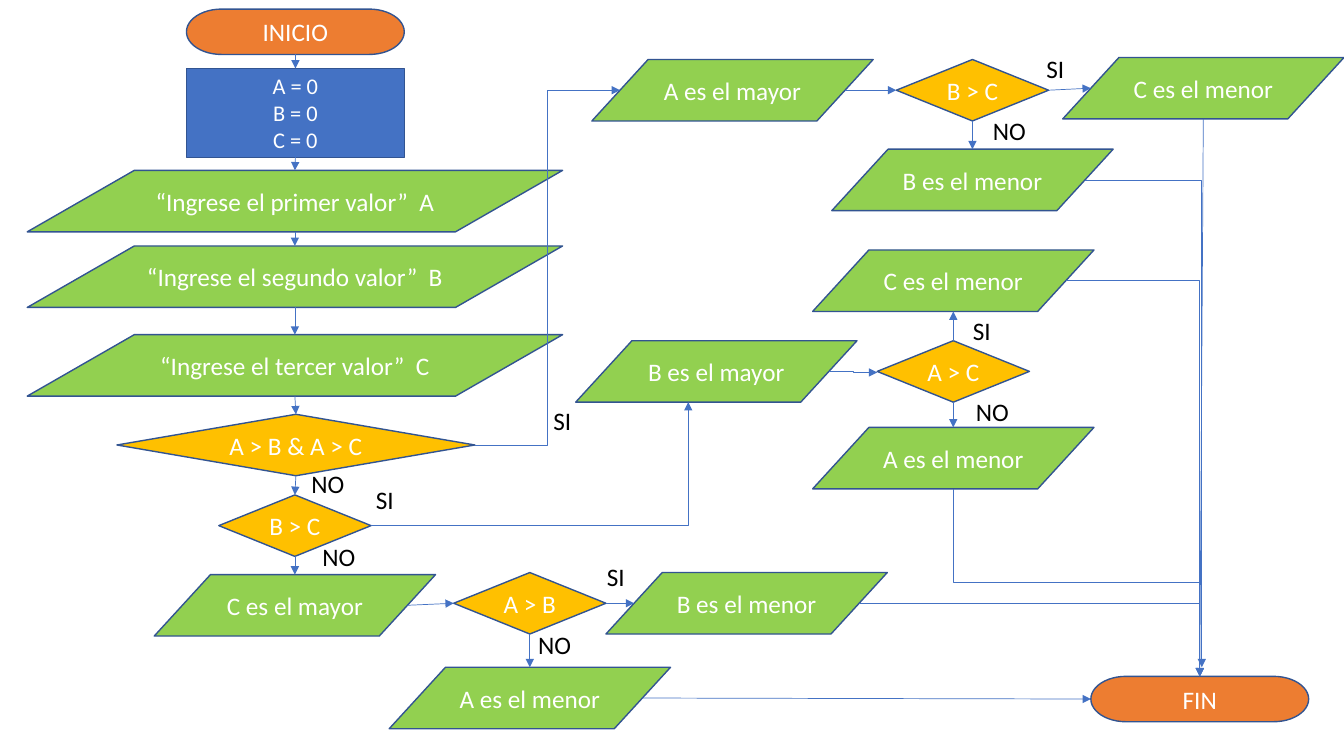
from dataclasses import dataclass
from enum import Enum

from lxml.etree import SubElement
from pptx import Presentation
from pptx.dml.color import RGBColor
from pptx.enum.shapes import MSO_CONNECTOR, MSO_SHAPE
from pptx.enum.text import MSO_ANCHOR, MSO_AUTO_SIZE, PP_ALIGN
from pptx.oxml.ns import qn
from pptx.util import Inches, Pt


@dataclass(frozen=True)
class Theme:
    """Colours and type sizes of the flowchart."""
    font: str = "Calibri"
    text: RGBColor = RGBColor(0xFF, 0xFF, 0xFF)
    label: RGBColor = RGBColor(0, 0, 0)
    outline: RGBColor = RGBColor(0x32, 0x54, 0x91)
    arrow: RGBColor = RGBColor(0x44, 0x72, 0xC4)
    body_size: int = 18
    values_size: int = 16
    outline_width: float = 1
    arrow_width: float = 0.5


@dataclass(frozen=True)
class Style:
    """Preset, fill, size and connection sites (index, x share, y share) of a step."""
    preset: MSO_SHAPE
    fill: RGBColor
    width: float
    height: float
    sites: dict


@dataclass(frozen=True)
class Step:
    """One box of the flowchart."""
    name: str
    style: Style
    left: float
    top: float
    text: str
    size: int = 18


class Route(Enum):
    """Course of an arrow: straight, or bent in one of three ways."""
    STRAIGHT = "line"
    ELBOW = "bentConnector3"
    CORNER = "bentConnector2"
    DROP = "drop"


@dataclass(frozen=True)
class Link:
    """An arrow from a side of one step to a side of another."""
    start: str
    start_side: str
    end: str
    end_side: str
    route: Route = Route.STRAIGHT
    end_shift: tuple[float, float] = (0, 0)


@dataclass(frozen=True)
class Label:
    """The answer beside an arrow that leaves a decision."""
    text: str
    left: float
    top: float


THEME = Theme()
GREEN, AMBER = RGBColor(0x92, 0xD0, 0x50), RGBColor(0xFF, 0xC0, 0)
FOUR_SIDES = {"top": (0, 0.5, 0), "left": (1, 0, 0.5), "bottom": (2, 0.5, 1), "right": (3, 1, 0.5)}
SLANTED_SIDES = {"top": (1, 0.5, 0), "left": (2, 0.1, 0.5), "bottom_left": (3, 0.4, 1),
                 "bottom": (4, 0.5, 1), "right": (5, 0.9, 0.5)}

TERMINAL = Style(MSO_SHAPE.FLOWCHART_TERMINATOR, RGBColor(0xED, 0x7D, 0x31), 2.16, 0.45, FOUR_SIDES)
PROCESS = Style(MSO_SHAPE.FLOWCHART_PROCESS, THEME.arrow, 2.16, 0.88, FOUR_SIDES)
INPUT = Style(MSO_SHAPE.FLOWCHART_DATA, GREEN, 5.31, 0.61, SLANTED_SIDES)
RESULT = Style(MSO_SHAPE.FLOWCHART_DATA, GREEN, 2.79, 0.61, SLANTED_SIDES)
DECISION = Style(MSO_SHAPE.FLOWCHART_DECISION, AMBER, 1.51, 0.61, FOUR_SIDES)
WIDE_DECISION = Style(MSO_SHAPE.FLOWCHART_DECISION, AMBER, 3.55, 0.61, FOUR_SIDES)

STEPS = [
    Step("start", TERMINAL, 1.85, 0.09, "INICIO"),
    Step("values", PROCESS, 1.85, 0.68, "A = 0\nB = 0\nC = 0", THEME.values_size),
    Step("first", INPUT, 0.27, 1.69, "“Ingrese el primer valor”  A"),
    Step("second", INPUT, 0.27, 2.44, "“Ingrese el segundo valor”  B"),
    Step("third", INPUT, 0.27, 3.32, "“Ingrese el tercer valor”  C"),
    Step("is_a_max", WIDE_DECISION, 1.16, 4.11, "A > B & A > C"),
    Step("is_b_max", DECISION, 2.17, 4.91, "B > C"),
    Step("a_max", RESULT, 5.87, 0.59, "A es el mayor"),
    Step("b_max", RESULT, 5.71, 3.38, "B es el mayor"),
    Step("c_max", RESULT, 1.53, 5.7, "C es el mayor"),
    Step("after_a", DECISION, 8.89, 0.59, "B > C"),
    Step("after_a_yes", RESULT, 10.54, 0.57, "C es el menor"),
    Step("after_a_no", RESULT, 8.25, 1.48, "B es el menor"),
    Step("after_b", DECISION, 8.7, 3.38, "A > C"),
    Step("after_b_yes", RESULT, 8.06, 2.48, "C es el menor"),
    Step("after_b_no", RESULT, 8.06, 4.24, "A es el menor"),
    Step("after_c", DECISION, 4.5, 5.68, "A > B"),
    Step("after_c_yes", RESULT, 6.01, 5.68, "B es el menor"),
    Step("after_c_no", RESULT, 3.86, 6.62, "A es el menor"),
    Step("finish", TERMINAL, 10.82, 6.71, "FIN"),
]
MAIN_COLUMN = ["start", "values", "first", "second", "third", "is_a_max", "is_b_max", "c_max"]
LINKS = [Link(upper, "bottom", lower, "top") for upper, lower in zip(MAIN_COLUMN, MAIN_COLUMN[1:])] + [
    Link("is_a_max", "right", "a_max", "left", Route.ELBOW),
    Link("is_b_max", "right", "b_max", "bottom_left", Route.CORNER),
    Link("a_max", "right", "after_a", "left"),
    Link("b_max", "right", "after_b", "left", Route.ELBOW, (0, 0.01)),
    Link("c_max", "right", "after_c", "left"),
    Link("after_a", "right", "after_a_yes", "left"),
    Link("after_a", "bottom", "after_a_no", "top"),
    Link("after_b", "top", "after_b_yes", "bottom"),
    Link("after_b", "bottom", "after_b_no", "top"),
    Link("after_c", "right", "after_c_yes", "left"),
    Link("after_c", "bottom", "after_c_no", "top"),
    Link("after_a_yes", "bottom", "finish", "top"),
    Link("after_c_no", "right", "finish", "left"),
    Link("after_c_yes", "right", "finish", "top", Route.CORNER),
    Link("after_b_no", "bottom", "finish", "top", Route.DROP),
    Link("after_b_yes", "right", "finish", "top", Route.CORNER),
    Link("after_a_no", "right", "finish", "top", Route.CORNER, (0.02, -0.09)),
]
LABELS = [Label("SI", left, top) for left, top in
          [(5.39, 3.97), (10.28, 0.48), (9.55, 3.08), (3.63, 4.76), (5.92, 5.52)]]
LABELS += [Label("NO", left, top) for left, top in
           [(2.99, 4.6), (3.1, 5.32), (5.24, 6.19), (9.58, 3.88), (9.75, 1.09)]]


def write(frame, text: str, size: int, color: RGBColor, align: PP_ALIGN) -> None:
    """Write each line of text as a paragraph of one run."""
    for index, line in enumerate(text.split("\n")):
        para = frame.paragraphs[0] if index == 0 else frame.add_paragraph()
        para.alignment = align
        span = para.add_run()
        span.text = line
        span.font.name, span.font.size = THEME.font, Pt(size)
        span.font.color.rgb = color


def draw_step(page, step: Step):
    """Draw one step and return its shape."""
    style = step.style
    box = page.shapes.add_shape(style.preset, Inches(step.left), Inches(step.top),
                                Inches(style.width), Inches(style.height))
    box.shadow.inherit = False
    box.fill.solid()
    box.fill.fore_color.rgb = style.fill
    box.line.color.rgb, box.line.width = THEME.outline, Pt(THEME.outline_width)
    box.text_frame.word_wrap = True
    box.text_frame.vertical_anchor = MSO_ANCHOR.MIDDLE
    write(box.text_frame, step.text, step.size, THEME.text, PP_ALIGN.CENTER)
    return box


def site_point(step: Step, side: str) -> tuple[float, float]:
    """Return where a connection site lies on the page."""
    _, across, down = step.style.sites[side]
    return step.left + across * step.style.width, step.top + down * step.style.height


def draw_link(page, link: Link, steps: dict, boxes: dict) -> None:
    """Draw one arrow and attach it to its steps."""
    x1, y1 = site_point(steps[link.start], link.start_side)
    x2, y2 = site_point(steps[link.end], link.end_side)
    x2, y2 = x2 + link.end_shift[0], y2 + link.end_shift[1]
    is_drop = link.route is Route.DROP
    if is_drop:  # a quarter turn swaps the width and height of the frame
        middle_x, middle_y, half_x, half_y = (x1 + x2) / 2, (y1 + y2) / 2, (x2 - x1) / 2, (y2 - y1) / 2
        x1, x2 = middle_x + half_y, middle_x - half_y
        y1, y2 = middle_y - half_x, middle_y + half_x
    kind = MSO_CONNECTOR.STRAIGHT if link.route is Route.STRAIGHT else MSO_CONNECTOR.ELBOW
    arrow = page.shapes.add_connector(kind, Inches(x1), Inches(y1), Inches(x2), Inches(y2))
    arrow.line.color.rgb, arrow.line.width = THEME.arrow, Pt(THEME.arrow_width)
    properties = arrow.element.spPr
    SubElement(properties.find(qn("a:ln")), qn("a:tailEnd"), type="triangle")
    SubElement(properties, qn("a:effectLst"))
    if is_drop:
        properties.find(qn("a:xfrm")).set("rot", str(270 * 60000))
    if link.route is Route.CORNER:
        properties.find(qn("a:prstGeom")).set("prst", link.route.value)
    ends = [("a:stCxn", link.start, link.start_side)]
    if link.end_shift == (0, 0):
        ends.append(("a:endCxn", link.end, link.end_side))
    holder = arrow.element.find(".//" + qn("p:cNvCxnSpPr"))
    for tag, name, side in ends:
        SubElement(holder, qn(tag), id=str(boxes[name].shape_id), idx=str(steps[name].style.sites[side][0]))


def draw_label(page, label: Label) -> None:
    """Draw one answer."""
    box = page.shapes.add_textbox(Inches(label.left), Inches(label.top),
                                  Inches(0.38 if label.text == "SI" else 0.53), Inches(0.4))
    box.text_frame.word_wrap = False
    box.text_frame.auto_size = MSO_AUTO_SIZE.SHAPE_TO_FIT_TEXT
    write(box.text_frame, label.text, THEME.body_size, THEME.label, PP_ALIGN.LEFT)


def main() -> None:
    """Build the flowchart slide."""
    deck = Presentation()
    deck.slide_width, deck.slide_height = Inches(13.33), Inches(7.5)
    page = deck.slides.add_slide(deck.slide_layouts[6])
    steps = {step.name: step for step in STEPS}
    boxes = {step.name: draw_step(page, step) for step in STEPS}
    for link in LINKS:
        draw_link(page, link, steps, boxes)
    for label in LABELS:
        draw_label(page, label)
    deck.save("out.pptx")


main()
